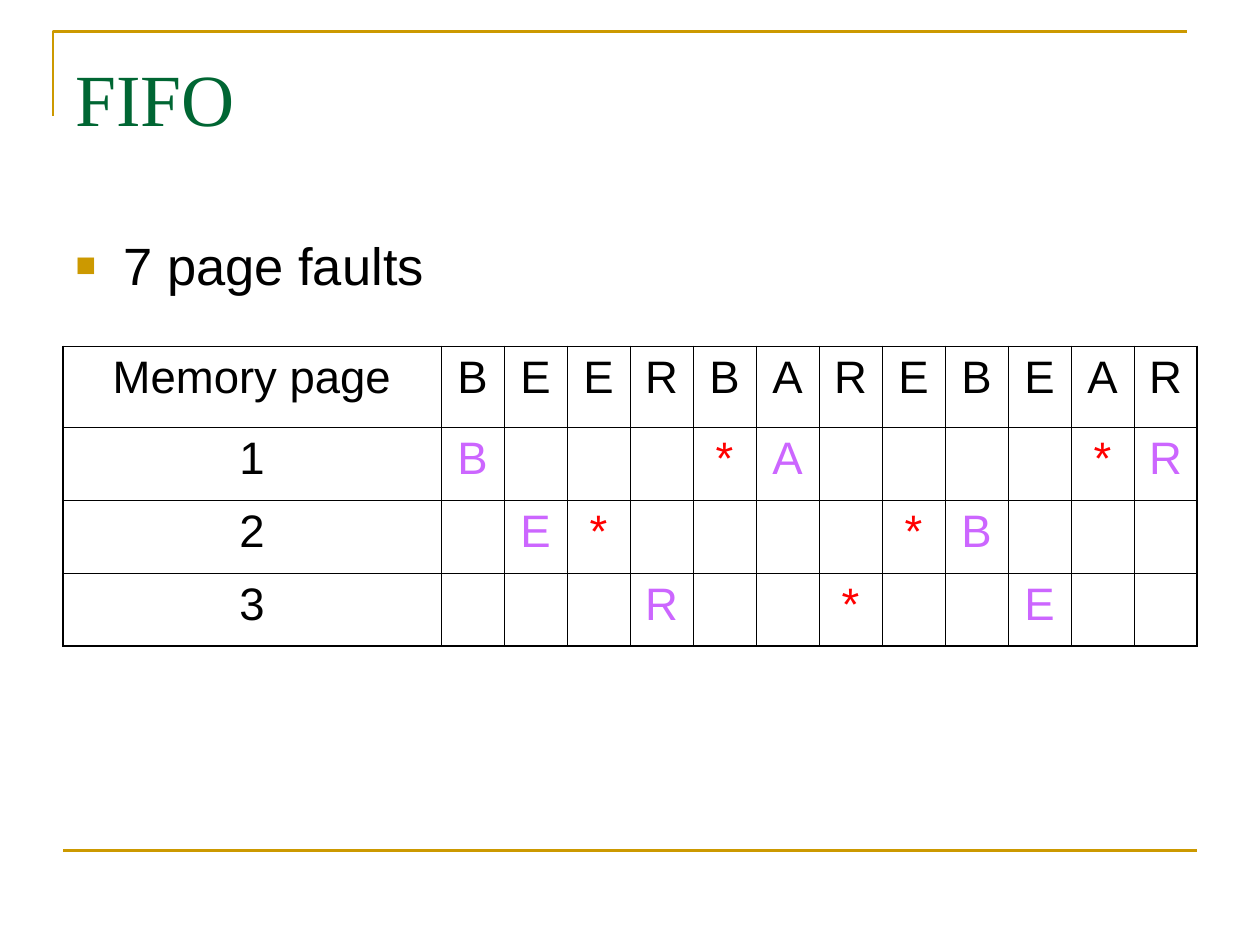
from lxml import etree
from pptx import Presentation
from pptx import util as u
from pptx.dml.color import RGBColor
from pptx.enum import shapes, text
from pptx.oxml import ns

BLACK = RGBColor(0x00, 0x00, 0x00)
WHITE = RGBColor(0xFF, 0xFF, 0xFF)
GOLD = RGBColor(0xCC, 0x99, 0x00)
GREEN = RGBColor(0x00, 0x66, 0x33)
VIOLET = RGBColor(0xCC, 0x66, 0xFF)
RED = RGBColor(0xFF, 0x00, 0x00)


def write(frame, words, size, color, font="Arial", align=text.PP_ALIGN.LEFT):
    para = frame.paragraphs[0]
    para.alignment = align
    para.space_before = u.Pt(0)
    span = para.add_run()
    span.text = words
    span.font.name = font
    span.font.size = u.Pt(size)
    span.font.color.rgb = color
    return para


def add_border(cell, side, width):
    line = etree.SubElement(cell._tc.get_or_add_tcPr(), ns.qn(f"a:ln{side}"), w=str(u.Pt(width)))
    fill = etree.SubElement(line, ns.qn("a:solidFill"))
    etree.SubElement(fill, ns.qn("a:srgbClr"), val=str(BLACK))


deck = Presentation()
deck.slide_width = u.Inches(10)
deck.slide_height = u.Inches(7.5)
page = deck.slides.add_slide(deck.slide_layouts[1])

pen = page.shapes.build_freeform(u.Inches(0.42), u.Inches(0.92))
pen.add_line_segments(
    [(u.Inches(0.42), u.Inches(0.25)), (u.Inches(9.42), u.Inches(0.25))], close=False)
corner = pen.convert_to_shape()
corner.shadow.inherit = False
corner.fill.background()

rule = page.shapes.add_connector(
    shapes.MSO_CONNECTOR.STRAIGHT,
    u.Inches(0.5), u.Inches(6.75), u.Inches(9.5), u.Inches(6.75))
etree.SubElement(rule._element.spPr, ns.qn("a:effectLst"))

for stroke in (corner, rule):
    stroke.line.color.rgb = GOLD
    stroke.line.width = u.Pt(1.5)

title = page.shapes.title
body = page.placeholders[1]
for box, top, height, inset in ((title, 0.3, 1.25, 0.12), (body, 1.75, 4.95, 0.1)):
    box.left, box.top = u.Inches(0.5), u.Inches(top)
    box.width, box.height = u.Inches(9), u.Inches(height)
    box.text_frame.auto_size = text.MSO_AUTO_SIZE.NONE
    box.text_frame.vertical_anchor = text.MSO_ANCHOR.TOP
    box.text_frame.margin_top = u.Inches(inset)

write(title.text_frame, "FIFO", 42, GREEN, font="Times New Roman")

para = write(body.text_frame, "7 page faults", 30, BLACK)
props = para._p.get_or_add_pPr()
props.set("marL", str(u.Inches(0.38)))
props.set("indent", str(-u.Inches(0.38)))
bullet_color = etree.SubElement(props, ns.qn("a:buClr"))
etree.SubElement(bullet_color, ns.qn("a:srgbClr"), val=str(GOLD))
etree.SubElement(props, ns.qn("a:buSzPct"), val="65000")
etree.SubElement(props, ns.qn("a:buFont"), typeface="Arial")
etree.SubElement(props, ns.qn("a:buChar"), char="■")

rows = [
    ["Memory page", *"BEERBAREBEAR"],
    ["1", *"B   *A    *R"],
    ["2", *" E*    *B   "],
    ["3", *"   R  *  E  "],
]
last_row, last_column = len(rows) - 1, len(rows[0]) - 1
table = page.shapes.add_table(
    len(rows), len(rows[0]),
    u.Inches(0.5), u.Inches(2.75), u.Inches(9), u.Inches(2.39)).table
table.first_row = False
table.horz_banding = False
for index, column in enumerate(table.columns):
    column.width = u.Inches(0.5 if index else 3)
for index, row in enumerate(table.rows):
    row.height = u.Inches(0.58 if index else 0.64)

for r, entries in enumerate(rows):
    for c, entry in enumerate(entries):
        cell = table.cell(r, c)
        outer_sides = {"L": c == 0, "R": c == last_column, "T": r == 0, "B": r == last_row}
        for side, outer in outer_sides.items():
            add_border(cell, side, 1.08 if outer else 0.45)
        cell.fill.solid()
        cell.fill.fore_color.rgb = WHITE
        if entry == " ":
            continue
        if r == 0 or c == 0:
            color = BLACK
        else:
            color = RED if entry == "*" else VIOLET
        write(cell.text_frame, entry, 26, color, align=text.PP_ALIGN.CENTER)

deck.save("out.pptx")
